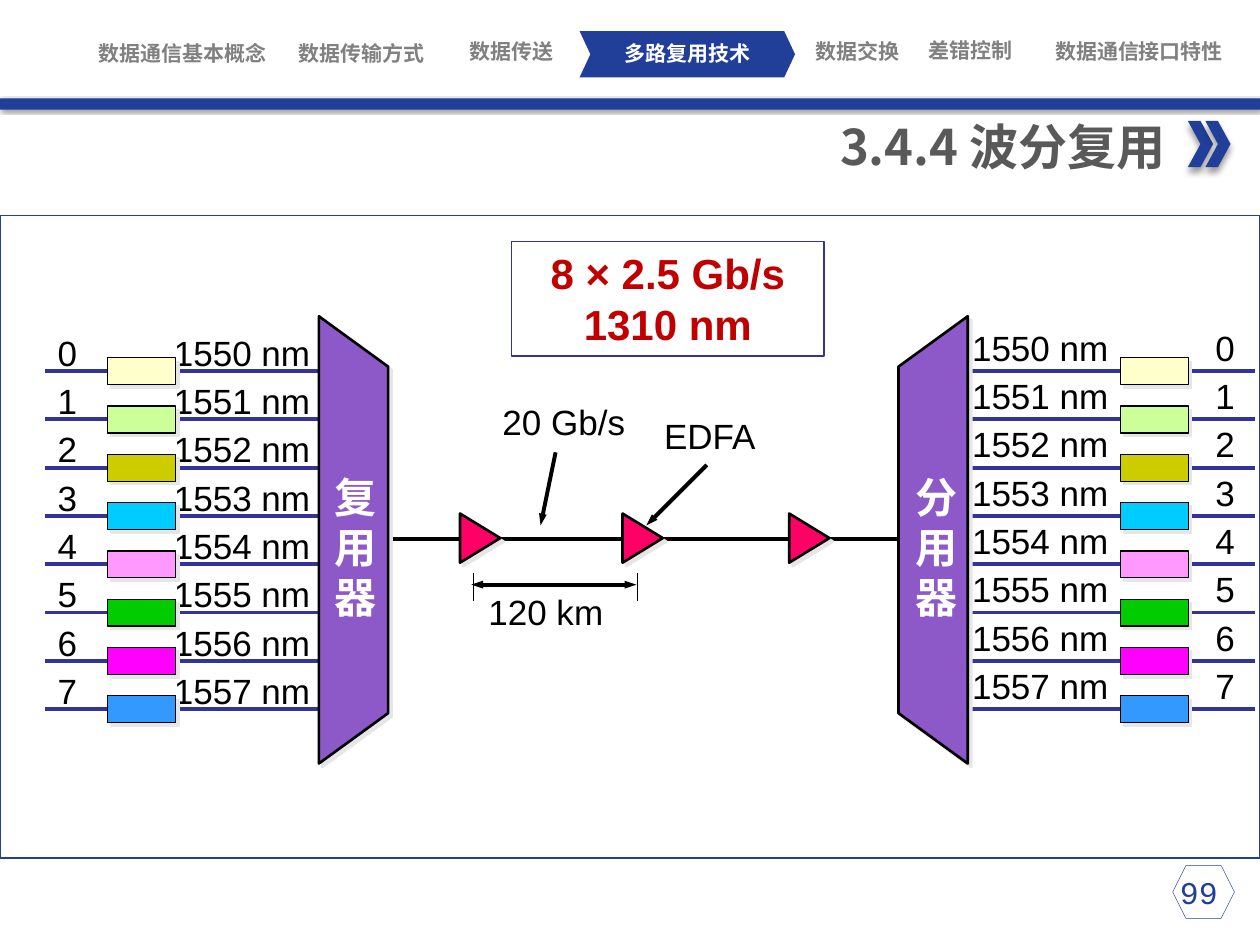
from typing import NamedTuple

from lxml import etree
from pptx import Presentation
from pptx.dml.color import RGBColor
from pptx.enum.shapes import MSO_CONNECTOR, MSO_SHAPE
from pptx.enum.text import MSO_ANCHOR, PP_ALIGN
from pptx.oxml.ns import qn
from pptx.util import Pt

RECT, CHEVRON = MSO_SHAPE.RECTANGLE, MSO_SHAPE.CHEVRON
TRIANGLE, HEXAGON = MSO_SHAPE.ISOSCELES_TRIANGLE, MSO_SHAPE.HEXAGON
STRAIGHT = MSO_CONNECTOR.STRAIGHT
TOP, MIDDLE = MSO_ANCHOR.TOP, MSO_ANCHOR.MIDDLE
LEFT, CENTER, RIGHT = PP_ALIGN.LEFT, PP_ALIGN.CENTER, PP_ALIGN.RIGHT

WHITE = RGBColor(0xFF, 0xFF, 0xFF)
BLACK = RGBColor(0, 0, 0)
BLUE = RGBColor(0x21, 0x3F, 0x99)
INDIGO = RGBColor(0x33, 0x33, 0x99)
GRAY = RGBColor(0x80, 0x80, 0x80)
DARK_GRAY = RGBColor(0x59, 0x59, 0x59)
RED = RGBColor(0xC0, 0, 0)
PINK = RGBColor(0xFF, 0, 0x66)
PURPLE = RGBColor(0x8D, 0x58, 0xC8)
CHANNEL_COLORS = [
    RGBColor(0xFF, 0xFF, 0xCC), RGBColor(0xCC, 0xFF, 0x99),
    RGBColor(0xCC, 0xCC, 0), RGBColor(0, 0xCC, 0xFF),
    RGBColor(0xFF, 0x99, 0xFF), RGBColor(0, 0xCC, 0),
    RGBColor(0xFF, 0, 0xFF), RGBColor(0x33, 0x99, 0xFF),
]
ROW_PITCH = 27.6


class Box(NamedTuple):
    x: float
    y: float
    w: float
    h: float


class Style(NamedTuple):
    font: str
    size: float
    color: RGBColor
    bold: bool = False
    align: PP_ALIGN = LEFT


class Shadow(NamedTuple):
    color: str
    alpha: int
    blur: float
    dist: float
    angle: int


class NavItem(NamedTuple):
    text: str
    box: Box
    color: RGBColor = GRAY


class Side(NamedTuple):
    line_x: float
    chip_x: float
    label_box: Box
    tab: float
    label: str
    device: str
    device_box: Box
    wide_x: float
    narrow_x: float


class Label(NamedTuple):
    text: str
    box: Box


HARD = Shadow("E7E6E6", 100, 0, 2.8, 45)
BAR_SHADOW = Shadow("000000", 40, 2, 1, 45)
MARK_SHADOW = Shadow("000000", 40, 4, 3, 90)
BODY = Style("Arial", 20, BLACK)
RATE = Style("Arial", 24, RED, True, CENTER)
DEVICE = Style("Calibri", 24, WHITE, True)
TITLE = Style("Noto Sans CJK SC", 28, DARK_GRAY, True, RIGHT)
PAGE = Style("Courier New", 18, BLUE, False, CENTER)

NAV = [
    NavItem("多路复用技术", Box(340.6, 23, 104.4, 14.4), WHITE),
    NavItem("数据通信基本概念", Box(52.2, 23, 104.4, 14.4)),
    NavItem("数据传输方式", Box(154.2, 23, 104.4, 14.4)),
    NavItem("数据传送", Box(246.6, 22.3, 91.4, 14.4)),
    NavItem("数据通信接口特性", Box(581.8, 22.3, 138.2, 14.4)),
    NavItem("数据交换", Box(437.8, 22.3, 104.4, 14.4)),
    NavItem("差错控制", Box(502.6, 21.3, 104.4, 14.4)),
]
SIDES = [
    Side(26, 61.4, Box(25.9, 182.2, 183, 228.2), 66.4, "{n}\t155{n} nm",
         "复用器", Box(184.3, 265.7, 38.9, 94.3), 182.2, 221.8),
    Side(553, 640.2, Box(548.4, 179.3, 171.6, 228.2), 139, "155{n} nm\t{n}",
         "分用器", Box(515.9, 265.7, 38.9, 94.3), 553, 513.4),
]
LABELS = [
    Label("20 Gb/s", Box(280, 225.4, 86.4, 31)),
    Label("EDFA", Box(372.4, 233.3, 69.1, 31)),
    Label("120 km", Box(272, 334.1, 82.1, 31)),
]


def paint(sp, fill: RGBColor | None, line: RGBColor | None, width: float = 0.75,
          shadow: Shadow | None = None) -> None:
    """Set fill, outline and shadow of a shape."""
    if fill is None:
        sp.fill.background()
    else:
        sp.fill.solid()
        sp.fill.fore_color.rgb = fill
    if line is None:
        sp.line.fill.background()
    else:
        sp.line.color.rgb = line
        sp.line.width = Pt(width)
    sp.shadow.inherit = False
    if shadow:
        effects = sp.element.spPr.find(qn("a:effectLst"))
        outer = etree.SubElement(
            effects, qn("a:outerShdw"), blurRad=str(Pt(shadow.blur)),
            dist=str(Pt(shadow.dist)), dir=str(shadow.angle * 60000),
            algn="ctr", rotWithShape="0")
        color = etree.SubElement(outer, qn("a:srgbClr"), val=shadow.color)
        etree.SubElement(color, qn("a:alpha"), val=str(shadow.alpha * 1000))


def add_shape(s, kind: MSO_SHAPE, box: Box, fill: RGBColor | None, line: RGBColor | None,
              width: float = 0.75, shadow: Shadow | None = None):
    """Add a painted preset shape."""
    sp = s.shapes.add_shape(kind, *map(Pt, box))
    paint(sp, fill, line, width, shadow)
    return sp


def write(sp, lines: list[str], style: Style, wrap: bool = False):
    """Fill a shape with one paragraph per line and return its text frame."""
    tf = sp.text_frame
    tf.word_wrap = wrap
    tf.vertical_anchor = TOP
    for i, text in enumerate(lines):
        p = tf.paragraphs[0] if i == 0 else tf.add_paragraph()
        p.text = text
        p.alignment = style.align
        p.font.name, p.font.size = style.font, Pt(style.size)
        p.font.bold, p.font.color.rgb = style.bold, style.color
    return tf


def add_text(s, box: Box, lines: list[str], style: Style, wrap: bool = False):
    """Add a text box and return its text frame."""
    return write(s.shapes.add_textbox(*map(Pt, box)), lines, style, wrap)


def add_line(s, x1: float, y1: float, x2: float, y2: float, color: RGBColor = BLACK,
             width: float = 2.25, ends: tuple[str, ...] = ()) -> None:
    """Add a straight line with optional arrowheads."""
    c = s.shapes.add_connector(STRAIGHT, Pt(x1), Pt(y1), Pt(x2), Pt(y2))
    c.line.color.rgb = color
    c.line.width = Pt(width)
    for end in ends:
        etree.SubElement(c.line._get_or_add_ln(), qn(f"a:{end}"),
                         type="triangle", w="sm", len="med")
    etree.SubElement(c.element.spPr, qn("a:effectLst"))


def add_header(s) -> None:
    """Draw the navigation, the title and the page number."""
    add_shape(s, CHEVRON, Box(331.2, 17.8, 123.1, 26.4), BLUE, None).adjustments[0] = 0.234
    for item in NAV:
        style = Style("Roboto Condensed", 12, item.color, True, CENTER)
        tf = add_text(s, item.box, [item.text], style, True)
        tf.margin_left = tf.margin_right = tf.margin_top = tf.margin_bottom = Pt(0)
        tf.vertical_anchor = MIDDLE
    add_shape(s, RECT, Box(0, 56.2, 720, 6.5), BLUE, None, shadow=BAR_SHADOW)
    add_text(s, Box(653.8, 495.4, 62.6, 28.8), ["99"], PAGE)
    add_shape(s, HEXAGON, Box(670.1, 494.6, 35.3, 30.2), None, BLUE, 0.25)
    for x in (678.8, 688.8):
        add_shape(s, CHEVRON, Box(x, 69.1, 14.4, 26.4), BLUE, None, shadow=MARK_SHADOW)
    add_text(s, Box(459.8, 63.2, 213.2, 41), ["3.4.4 波分复用"], TITLE)


def add_side(s, side: Side) -> None:
    """Draw eight channels and the multiplexer or demultiplexer they join."""
    labels = [side.label.format(n=n) for n in range(len(CHANNEL_COLORS))]
    tf = add_text(s, side.label_box, labels, BODY, True)
    for p in tf.paragraphs:
        p.line_spacing = 1.15
        tabs = etree.SubElement(p._p.get_or_add_pPr(), qn("a:tabLst"))
        etree.SubElement(tabs, qn("a:tab"), pos=str(Pt(side.tab)), algn="l")
        p._p.pPr.find(qn("a:defRPr")).addprevious(tabs)
    for i, color in enumerate(CHANNEL_COLORS):
        y = 212 + i * ROW_PITCH
        add_line(s, side.line_x, y, side.line_x + 164.2, y, INDIGO)
        add_shape(s, RECT, Box(side.chip_x, y - 7.6, 38.9, 15.4), color, BLACK, shadow=HARD)
    corners = [(side.wide_x, 436.3), (side.narrow_x, 407.5),
               (side.narrow_x, 209.5), (side.wide_x, 180.7)]
    points = [(Pt(x), Pt(y)) for x, y in corners]
    fb = s.shapes.build_freeform(*points[0])
    fb.add_line_segments(points[1:], close=True)
    paint(fb.convert_to_shape(), PURPLE, BLACK, 1.5, HARD)
    add_text(s, side.device_box, list(side.device), DEVICE)


def add_fiber(s) -> None:
    """Draw the fibre with its amplifiers and dimensions."""
    add_line(s, 194.4, 308.2, 548.6, 308.2)
    for x in (260.3, 353.2, 448.4):
        add_shape(s, TRIANGLE, Box(x, 296, 28.1, 23), PINK, BLACK, 1.5, HARD).rotation = 90
    for label in LABELS:
        add_text(s, label.box, [label.text], BODY)
    add_line(s, 317.5, 258.5, 308.9, 300.2, ends=("tailEnd",))
    add_line(s, 403.9, 265.7, 369.4, 300.2, ends=("tailEnd",))
    for x in (270.7, 364.3):
        add_line(s, x, 327.6, x, 343.4, width=0.75)
    add_line(s, 269.3, 334.1, 363.6, 334.1, ends=("headEnd", "tailEnd"))


def main() -> None:
    """Build the slide and save it."""
    prs = Presentation()
    prs.slide_width, prs.slide_height = Pt(720), Pt(540)
    s = prs.slides.add_slide(prs.slide_layouts[6])
    add_header(s)
    add_shape(s, RECT, Box(0, 123.1, 720, 367.2), None, BLUE)
    rate = add_shape(s, RECT, Box(292.3, 138, 178.6, 65.5), None, INDIGO)
    write(rate, ["8 × 2.5 Gb/s", "1310 nm"], RATE, True)
    add_fiber(s)
    for side in SIDES:
        add_side(s, side)
    prs.save("out.pptx")


if __name__ == "__main__":
    main()
